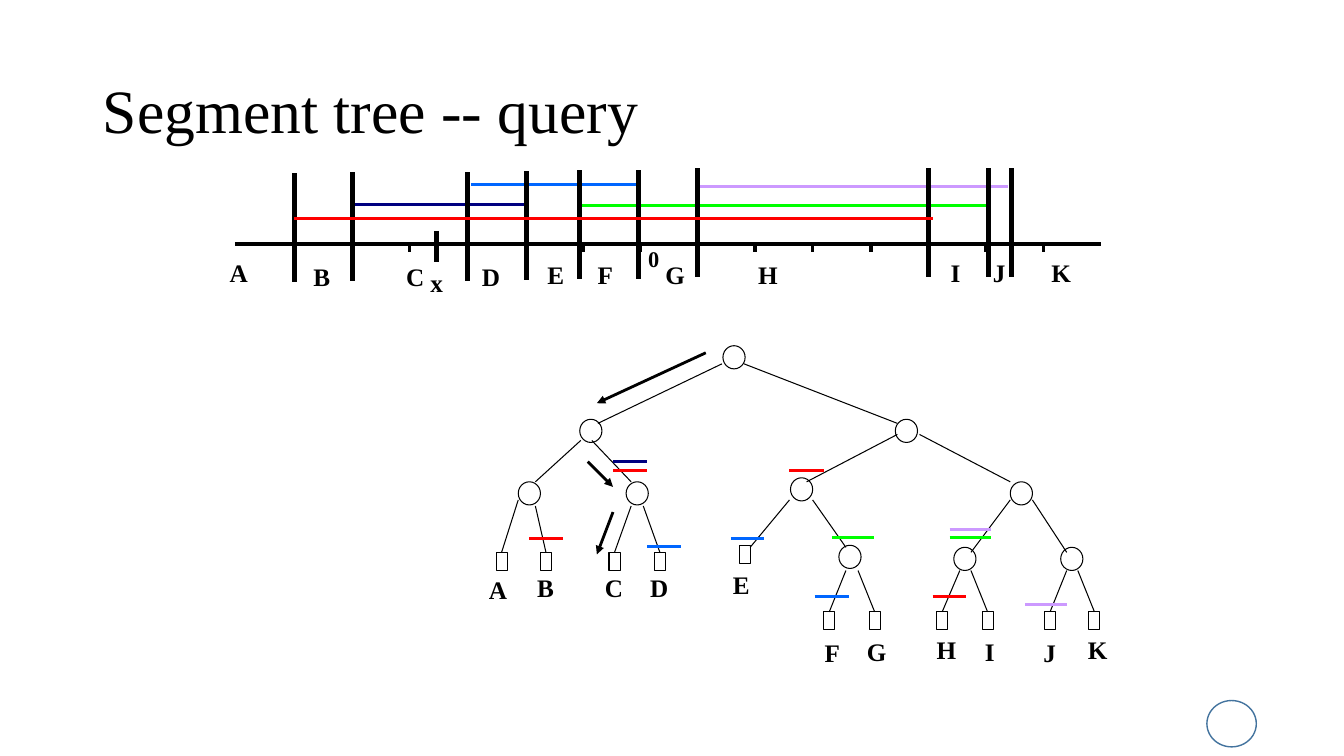
import pptx
import pptx.util
import pptx.dml.color
import pptx.enum.shapes
import pptx.enum.text
import pptx.oxml.ns
import lxml.etree

SHAPE = pptx.enum.shapes.MSO_SHAPE
FIT = pptx.enum.text.MSO_AUTO_SIZE
HUES = {"black": "000000", "red": "FF0000", "green": "00FF00", "lilac": "CC99FF",
        "navy": "000080", "blue": "0066FF", "steel": "43739E"}


def px(count):
    """One pixel is a hundredth of an inch."""
    return pptx.util.Emu(count * 9144)


def tint(name):
    return pptx.dml.color.RGBColor.from_string(HUES[name])


class Board:
    font = "Times New Roman"

    def __init__(self, slide):
        self.slide = slide
        self.shapes = slide.shapes

    def style(self, para, size, bold):
        for run in para.runs:
            run.font.name = self.font
            run.font.size = pptx.util.Pt(size)
            run.font.bold = bold
            run.font.color.rgb = tint("black")

    def title(self, text, left, top, width, height):
        box = self.shapes.title
        box.left, box.top, box.width, box.height = map(px, (left, top, width, height))
        frame = box.text_frame
        frame.text = text
        frame.auto_size = FIT.NONE
        frame.vertical_anchor = pptx.enum.text.MSO_ANCHOR.MIDDLE
        para = frame.paragraphs[0]
        para.alignment = pptx.enum.text.PP_ALIGN.LEFT
        para.line_spacing = 0.9
        self.style(para, 44, False)

    def label(self, text, left, top, width=42, height=40, size=18, wrap=True, turn=0):
        box = self.shapes.add_textbox(*map(px, (left, top, width, height)))
        box.rotation = turn
        frame = box.text_frame
        frame.text = text
        frame.word_wrap = wrap
        frame.auto_size = FIT.SHAPE_TO_FIT_TEXT
        self.style(frame.paragraphs[0], size, True)

    def node(self, kind, left, top, width, height, hue="black", weight=0.75):
        shape = self.shapes.add_shape(kind, *map(px, (left, top, width, height)))
        shape.shadow.inherit = False
        shape.fill.background()
        shape.line.color.rgb = tint(hue)
        shape.line.width = pptx.util.Pt(weight)
        return shape

    def line(self, x1, y1, x2, y2, hue="black", weight=0.75, arrow=False):
        link = self.shapes.add_connector(
            pptx.enum.shapes.MSO_CONNECTOR.STRAIGHT, *map(px, (x1, y1, x2, y2)))
        link.line.color.rgb = tint(hue)
        link.line.width = pptx.util.Pt(weight)
        props = link._element.spPr
        if arrow:
            lxml.etree.SubElement(link.line._get_or_add_ln(),
                                  pptx.oxml.ns.qn("a:tailEnd"), type="triangle")
        lxml.etree.SubElement(props, pptx.oxml.ns.qn("a:effectLst"))
        return link

    def bar(self, left, right, y, hue):
        self.line(left, y, right, y, hue, 2)


def draw_axis(board):
    # Intervals, then the cuts at their ends
    for left, right, y, hue in [(575, 983, 204, "green"), (692, 1000, 185, "lilac"),
                                (350, 525, 203, "navy"), (467, 633, 183, "blue")]:
        board.bar(left, right, y, hue)
    for x, top in [(292, 172), (350, 171), (464, 171), (522, 170), (575, 169),
                   (633, 169), (692, 167), (921, 167), (980, 167), (1003, 167)]:
        board.line(x, top, x, top + 108, weight=3.5)

    # Axis with even ticks
    board.line(233, 242, 1092, 242, weight=2.5)
    for i in range(14):
        x = round(292 + i * 743 / 13)
        board.line(x, 242, x, 250, weight=2.5)
    board.bar(292, 925, 217, "red")

    # Names of the elementary ranges
    board.label("0", 633, 238, 31, 37, size=16, wrap=False)
    for name, left, top in [("A", 218, 250), ("B", 301, 254), ("C", 393, 254),
                            ("D", 468, 254), ("E", 533, 252), ("F", 583, 252),
                            ("G", 650, 252), ("H", 742, 252), ("I", 933, 250),
                            ("J", 975, 250), ("K", 1033, 250)]:
        board.label(name, left, top)

    # Query point
    board.line(433, 229, 433, 260, weight=3)
    board.label("x", 417, 260)


def draw_tree(board):
    # Inner nodes and the edges between them
    for left, top in [(717, 343), (575, 416), (888, 416), (514, 478), (621, 478),
                      (784, 474), (1002, 478), (832, 541), (946, 543), (1052, 543)]:
        board.node(SHAPE.OVAL, left, top, 22, 23)
    for ends in [(716, 361, 593, 420), (738, 361, 890, 420), (890, 431, 800, 478),
                 (912, 431, 1002, 478), (1024, 496, 1058, 548), (1002, 496, 963, 548),
                 (806, 496, 839, 543), (587, 437, 626, 478), (576, 437, 531, 478),
                 (783, 496, 744, 543)]:
        board.line(*ends)

    # Leaves: name, place, start of the edge, place and width of the label
    leaves = [("A", 492, 548, (514, 496), 475, 565, 38),
              ("B", 536, 548, (531, 502), 523, 563, 37),
              ("C", 604, 548, (626, 502), 590, 563, 38),
              ("D", 649, 548, (638, 502), 635, 563, 38),
              ("E", 733, 541, None, 717, 560, 37),
              ("F", 817, 607, (839, 566), 808, 627, 35),
              ("G", 862, 607, (851, 566), 850, 626, 40),
              ("H", 929, 607, (952, 566), 919, 624, 40),
              ("I", 974, 607, (963, 566), 967, 626, 30),
              ("J", 1036, 607, (1058, 566), 1025, 627, 33),
              ("K", 1080, 607, (1069, 566), 1069, 624, 40)]
    for name, left, top, start, x, y, width in leaves:
        leaf = board.node(SHAPE.RECTANGLE, left, top, 11, 18)
        if start:
            board.line(*start, left + 5, top).end_connect(leaf, 0)
        board.label(name, x, y, width, wrap=False, turn=359.8)

    # Intervals stored at the nodes
    for left, right, y, hue in [
            (642, 675, 542, "blue"), (725, 758, 534, "blue"), (808, 842, 592, "blue"),
            (525, 558, 534, "red"), (608, 642, 467, "red"), (783, 817, 467, "red"),
            (925, 958, 592, "red"), (608, 642, 458, "navy"), (825, 867, 533, "green"),
            (942, 983, 533, "green"), (942, 983, 525, "lilac"), (1017, 1058, 600, "lilac")]:
        board.bar(left, right, y, hue)

    # Query walk
    for ends in [(700, 350, 592, 400), (583, 458, 608, 483), (608, 508, 592, 550)]:
        board.line(*ends, weight=2, arrow=True)


def main():
    deck = pptx.Presentation()
    deck.slide_width, deck.slide_height = px(1333), px(750)
    board = Board(deck.slides.add_slide(deck.slide_layouts[5]))
    board.node(SHAPE.OVAL, 1197, 695, 49, 46, "steel", 1)
    board.title("Segment tree -- query", 92, 40, 1150, 145)
    draw_axis(board)
    draw_tree(board)
    deck.save("out.pptx")


if __name__ == "__main__":
    main()
